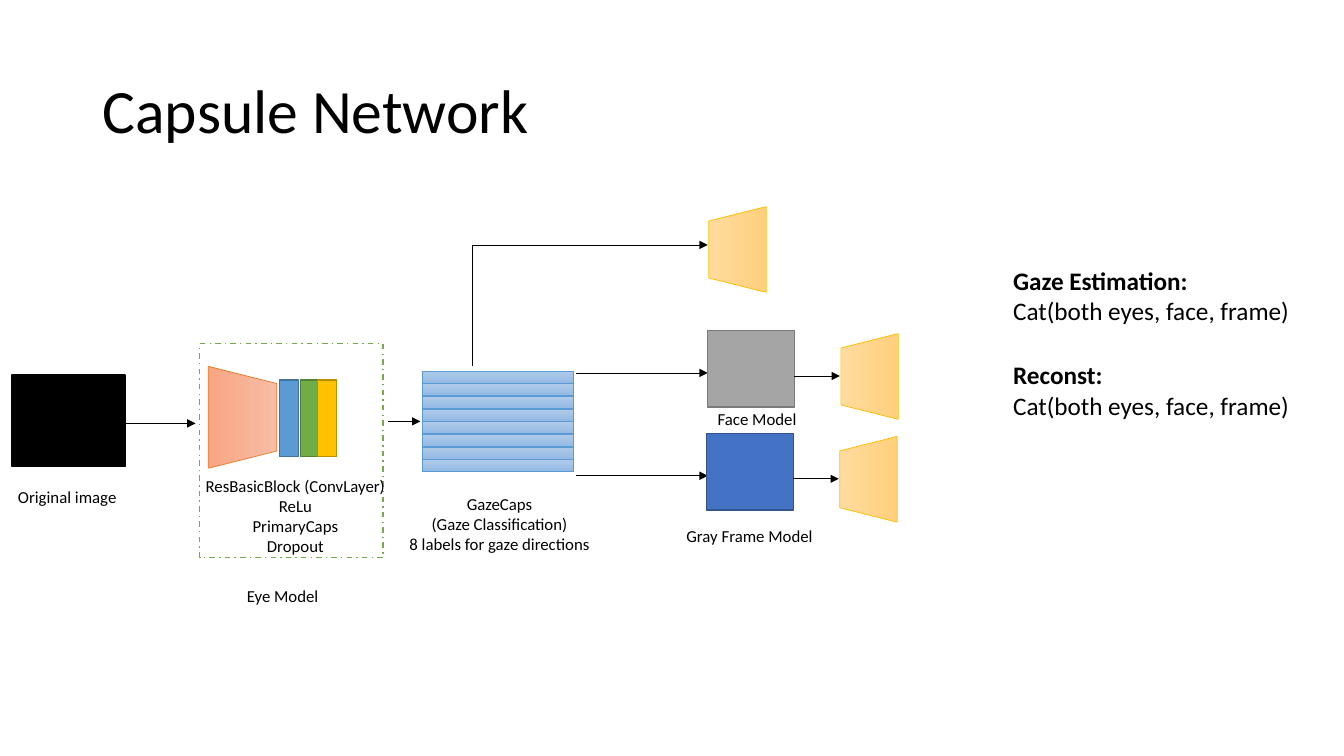
from lxml import etree
from pptx import Presentation
from pptx.dml.color import RGBColor
from pptx.enum.dml import MSO_LINE
from pptx.enum.shapes import MSO_CONNECTOR, MSO_SHAPE
from pptx.enum.text import MSO_ANCHOR, PP_ALIGN
from pptx.oxml.ns import qn
from pptx.util import Inches, Pt

RECT = MSO_SHAPE.RECTANGLE
TRAPEZOID = MSO_SHAPE.TRAPEZOID
STRAIGHT = MSO_CONNECTOR.STRAIGHT
DASH_DOT = MSO_LINE.DASH_DOT
MIDDLE = MSO_ANCHOR.MIDDLE
TOP = MSO_ANCHOR.TOP
LEFT = PP_ALIGN.LEFT
CENTER = PP_ALIGN.CENTER

FONT = "Calibri"
BLACK = "000000"
YELLOW = ("FFDB9E", "FFD07C")
ORANGE = ("F7BDA5", "F8A582")
BLUE = ("B1CBE9", "93B9E4")


def rgb(color):
    return RGBColor.from_string(color)


def add_block(shapes, box, fill, line, width=1, kind=RECT, rotation=0):
    sp = shapes.add_shape(kind, *[Inches(v) for v in box])
    sp.shadow.inherit = False
    sp.rotation = rotation
    if isinstance(fill, tuple):
        sp.fill.gradient()
        sp.fill.gradient_angle = 270
        for stop, color in zip(sp.fill.gradient_stops, fill):
            stop.color.rgb = rgb(color)
    else:
        sp.fill.solid()
        sp.fill.fore_color.rgb = rgb(fill)
    sp.line.color.rgb = rgb(line)
    sp.line.width = Pt(width)
    return sp


def add_text(s, box, lines, size=12, align=LEFT, anchor=TOP, spacing=1, bold_first=False):
    tf = s.shapes.add_textbox(*[Inches(v) for v in box]).text_frame
    tf.word_wrap = True
    tf.vertical_anchor = anchor
    tf.text = "\n".join(lines)
    for i, p in enumerate(tf.paragraphs):
        p.alignment = align
        p.line_spacing = spacing
        for r in p.runs:
            r.font.name = FONT
            r.font.size = Pt(size)
            r.font.bold = bold_first and i == 0
            r.font.color.rgb = rgb(BLACK)


def add_line(s, x1, y1, x2, y2, arrow=True):
    line = s.shapes.add_connector(STRAIGHT, *[Inches(v) for v in (x1, y1, x2, y2)])
    line.line.color.rgb = rgb(BLACK)
    line.line.width = Pt(0.5)
    sp_pr = line._element.spPr
    if arrow:
        etree.SubElement(sp_pr.find(qn("a:ln")), qn("a:tailEnd"), type="triangle")
    etree.SubElement(sp_pr, qn("a:effectLst"))


def add_input(s, x, y, w, h):
    add_block(s.shapes, (x, y, w, h), BLACK, BLACK)
    add_text(s, (x - 0.04, y + 1.06, 1.67, 0.3), ["Original image"])
    add_line(s, x + w, y + 0.48, 1.94, y + 0.48)


def add_eye_model(s, x, y, w, h):
    frame = add_block(s.shapes, (x, y, w, h), "FFFFFF", "70AD47")
    frame.line.dash_style = DASH_DOT
    layers = [(0.79, "5B9BD5", "43739E"), (1, "70AD47", "538035"), (1.17, "FFC000", "BD8E00")]
    for dx, fill, line in layers:
        add_block(s.shapes, (x + dx, y + 0.36, 0.19, 0.76), fill, line)
    add_block(s.shapes, (x - 0.08, y + 0.39, 1.01, 0.68), ORANGE, "ED7D31", 0.5, TRAPEZOID, 90)
    add_text(s, (x - 0.27, y + 1.26, 2.44, 0.91),
             ["ResBasicBlock (ConvLayer)", "ReLu", "PrimaryCaps", "Dropout"], align=CENTER)
    add_text(s, (x + 0.37, y + 2.35, 1.67, 0.3), ["Eye Model"])
    add_line(s, x + w + 0.05, y + 0.77, x + w + 0.37, y + 0.77)


def add_gaze_caps(s, x, y, w, h, count=8):
    bar_h = 0.12
    pitch = (h - bar_h) / (count - 1)
    grp = s.shapes.add_group_shape()
    for i in range(count):
        add_block(grp.shapes, (x, y + i * pitch, w, bar_h), BLUE, "5B9BD5", 0.5)
    add_text(s, (x - 0.3, y + 1.17, 2.13, 0.91),
             ["GazeCaps", "(Gaze Classification)", "8 labels for gaze directions"], align=CENTER)
    for dy in (0.02, 1.04):
        add_line(s, x + w + 0.02, y + dy, 7.02, y + dy)
    add_line(s, x + 0.5, y - 0.05, x + 0.5, y - 1.25, arrow=False)
    add_line(s, x + 0.5, y - 1.25, 7.02, y - 1.25)


def add_decoder(s, x, y):
    add_block(s.shapes, (x, y, 0.85, 0.57), YELLOW, "FFC000", 0.5, TRAPEZOID, 270)


def add_model(s, x, y, w, h, name, fill, line, label_dx, label_dy):
    add_block(s.shapes, (x, y, w, h), fill, line)
    add_text(s, (x + label_dx, y + label_dy, 1.67, 0.3), [name])
    add_line(s, x + w, y + 0.45, x + w + 0.45, y + 0.45)
    add_decoder(s, x + 1.18, y + 0.17)


def add_note(s, x, y, w, h, heading):
    add_text(s, (x, y, w, h), [heading, "Cat(both eyes, face, frame)"], 18, bold_first=True)


def main():
    prs = Presentation()
    prs.slide_width, prs.slide_height = Inches(13.33), Inches(7.5)
    s = prs.slides.add_slide(prs.slide_layouts[6])
    add_text(s, (0.92, 0.4, 11.5, 1.45), ["Capsule Network"], 44, anchor=MIDDLE, spacing=0.9)
    add_eye_model(s, 1.98, 3.41, 1.82, 2.12)
    add_input(s, 0.12, 3.72, 1.12, 0.91)
    add_gaze_caps(s, 4.19, 3.68, 1.5, 1)
    add_decoder(s, 6.89, 2.19)
    add_model(s, 7.02, 3.28, 0.86, 0.76, "Face Model", "A5A5A5", "7A7A7A", 0, 0.73)
    add_model(s, 7.01, 4.3, 0.86, 0.76, "Gray Frame Model", "4472C4", "325491", -0.3, 0.87)
    add_note(s, 9.95, 2.58, 3.26, 0.71, "Gaze Estimation:")
    add_note(s, 9.95, 3.52, 3.26, 0.71, "Reconst:")
    prs.save("out.pptx")


if __name__ == "__main__":
    main()
